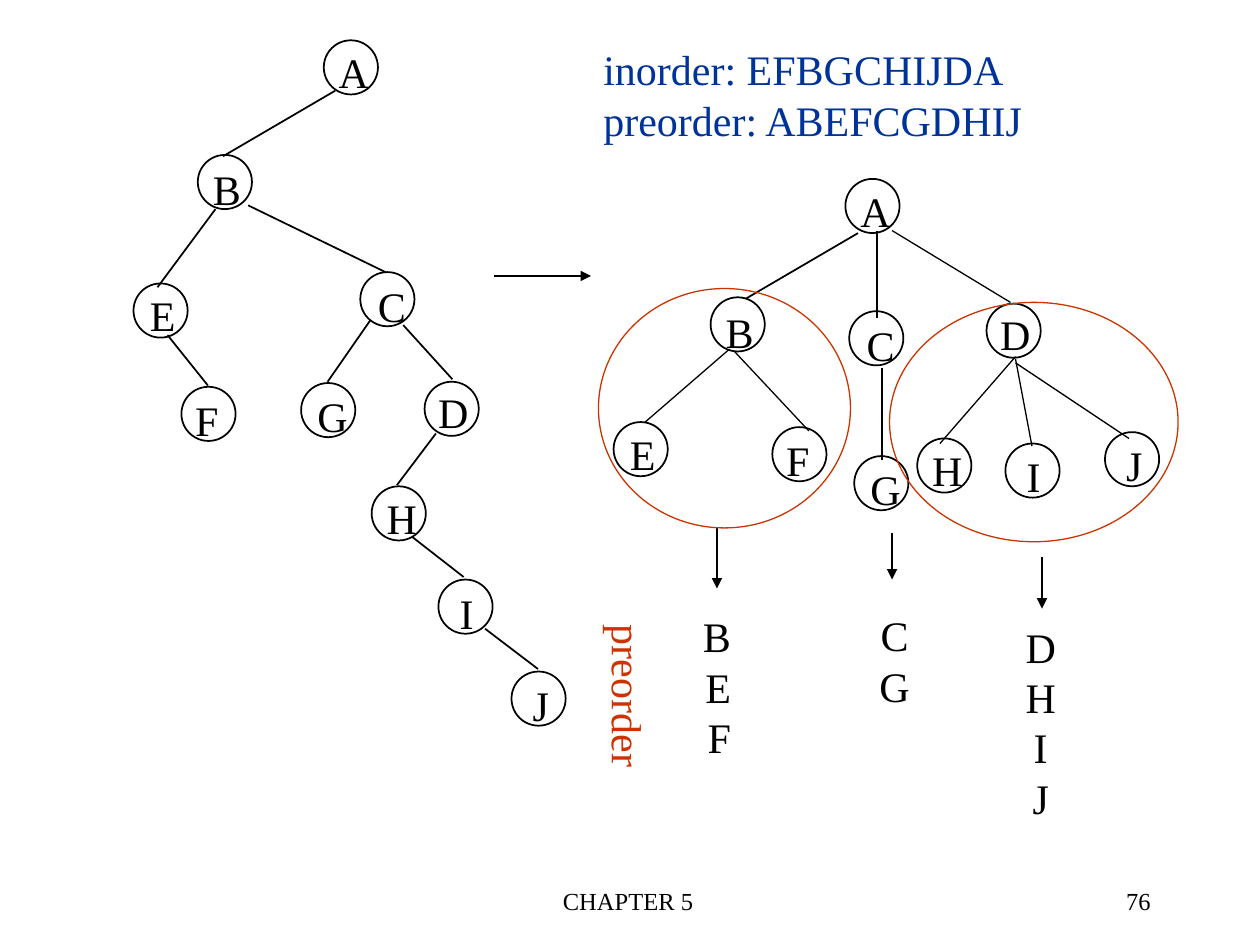
"""Build a slide that turns a binary tree into a forest and lists its preorder."""
from lxml import etree
from pptx import Presentation
from pptx import util as u
from pptx.dml.color import RGBColor
from pptx.enum import shapes, text
from pptx.oxml.ns import qn

INK = {"black": "000000", "blue": "003399", "red": "CC3300"}
FONT = "Times New Roman"
NODE = 0.43
LEFT, MID, RIGHT = text.PP_ALIGN.LEFT, text.PP_ALIGN.CENTER, text.PP_ALIGN.RIGHT

BINARY = [
    ("A", 2.57, 0.32), ("B", 1.57, 1.23), ("C", 2.86, 2.16), ("D", 3.37, 3.03),
    ("E", 1.06, 2.25), ("F", 1.44, 3.07), ("G", 2.39, 3.04), ("H", 2.95, 3.86),
    ("I", 3.48, 4.6), ("J", 4.06, 5.33),
]
FOREST = [
    ("A", 6.71, 1.42), ("B", 5.64, 2.36), ("C", 6.74, 2.47), ("D", 7.83, 2.41),
    ("E", 4.87, 3.35), ("F", 6.13, 3.39), ("G", 6.78, 3.62), ("H", 7.28, 3.48),
    ("I", 7.98, 3.52), ("J", 8.77, 3.43),
]
LABELS = {
    "A": (0.02, 0, 0.44), "B": (0.02, 0.02, 0.42), "C": (0.04, 0.02, 0.42),
    "D": (0.01, -0.01, 0.44), "E": (0.03, 0, 0.41), "F": (0.01, 0.01, 0.39),
    "G": (0.03, 0.01, 0.44), "H": (0.02, 0, 0.44), "I": (0.07, 0.01, 0.31),
    "J": (0.07, 0.01, 0.33),
}
THICK = [
    (2.66, 0.72, 1.77, 1.24), (1.97, 1.63, 3.06, 2.16), (1.71, 1.66, 1.25, 2.28),
    (1.33, 2.66, 1.65, 3.06), (2.94, 2.54, 2.6, 3.03), (3.2, 2.58, 3.59, 3.01),
    (3.46, 3.44, 3.15, 3.85), (3.27, 4.26, 3.68, 4.58), (3.85, 4.99, 4.27, 5.31),
    (6.81, 1.85, 5.92, 2.37),
]
THIN = [
    (6.96, 1.83, 6.96, 2.52), (7.08, 1.83, 8.02, 2.4), (5.79, 2.77, 5.12, 3.35),
    (5.83, 2.79, 6.42, 3.42), (7, 2.92, 7, 3.65), (8.06, 2.83, 7.46, 3.52),
    (8.06, 2.85, 8.19, 3.54), (8.06, 2.88, 8.96, 3.48),
]
ARROWS = [
    (3.92, 2.19, 4.69, 2.19), (5.69, 4.19, 5.69, 4.67),
    (7.08, 4.23, 7.08, 4.6), (8.27, 4.42, 8.27, 4.83),
]
GROUPS = [(4.75, 2.29, 2, 1.9), (7.06, 2.4, 2.29, 1.9)]
LISTS = [
    (["inorder: EFBGCHIJDA", "preorder: ABEFCGDHIJ"], (4.69, 0.3, 3.54, 0.9), LEFT, "blue"),
    (list("BEF"), (5.48, 4.8, 0.42, 1.3), RIGHT, "black"),
    (list("CG"), (6.88, 4.79, 0.44, 0.9), MID, "black"),
    (list("DHIJ"), (8.04, 4.88, 0.44, 1.7), MID, "black"),
]
FOOTERS = [
    ("CHAPTER 5", (3.4, 6.98, 3.17, 0.5), MID),
    ("76", (7.15, 6.98, 2.08, 0.5), RIGHT),
]


def scale(*inches):
    return [u.Cm(round(n * 2.54, 3)) for n in inches]


def color(name):
    return RGBColor.from_string(INK[name])


def ring(slide, box, ink="black", width=1):
    oval = slide.shapes.add_shape(shapes.MSO_SHAPE.OVAL, *scale(*box))
    oval.shadow.inherit = False
    oval.fill.background()
    oval.line.color.rgb = color(ink)
    oval.line.width = u.Pt(width)


def edge(slide, ends, width=0.75, arrow=False):
    line = slide.shapes.add_connector(shapes.MSO_CONNECTOR.STRAIGHT, *scale(*ends))
    line.line.color.rgb = color("black")
    line.line.width = u.Pt(width)
    if arrow:
        etree.SubElement(line.line._get_or_add_ln(), qn("a:tailEnd"), type="triangle")
    etree.SubElement(line._element.spPr, qn("a:effectLst"))


def write(slide, lines, box, align=LEFT, ink="black", size=24, wrap=False, upright=True):
    frame = slide.shapes.add_textbox(*scale(*box)).text_frame
    frame.word_wrap = wrap
    if not wrap:
        frame.auto_size = text.MSO_AUTO_SIZE.SHAPE_TO_FIT_TEXT
    side, top = scale(0.1, 0.05) if upright else scale(0.05, 0.1)
    frame.margin_left = frame.margin_right = side
    frame.margin_top = frame.margin_bottom = top
    if not upright:
        frame._txBody.bodyPr.set("vert", "eaVert")
    for i, words in enumerate(lines):
        para = frame.add_paragraph() if i else frame.paragraphs[0]
        para.alignment = align
        para.line_spacing = u.Pt(size * 1.2)
        run = para.add_run()
        run.text = words
        run.font.name = FONT
        run.font.size = u.Pt(size)
        run.font.color.rgb = color(ink)


def main():
    deck = Presentation()
    deck.slide_width, deck.slide_height = scale(10, 7.5)
    slide = deck.slides.add_slide(deck.slide_layouts[6])
    for ends in THICK:
        edge(slide, ends, 1)
    for ends in THIN:
        edge(slide, ends)
    for ends in ARROWS:
        edge(slide, ends, arrow=True)
    for name, x, y in BINARY + FOREST:
        ring(slide, (x, y, NODE, NODE))
        dx, dy, width = LABELS[name]
        write(slide, [name], (x + dx, y + dy, width, 0.5))
    for box in GROUPS:
        ring(slide, box, "red", 0.75)
    for lines, box, align, ink in LISTS:
        write(slide, lines, box, align, ink)
    write(slide, ["preorder"], (4.64, 4.86, 0.6, 1.23), ink="red", upright=False)
    for words, box, align in FOOTERS:
        write(slide, [words], box, align, size=14, wrap=True)
    deck.save("out.pptx")


if __name__ == "__main__":
    main()
